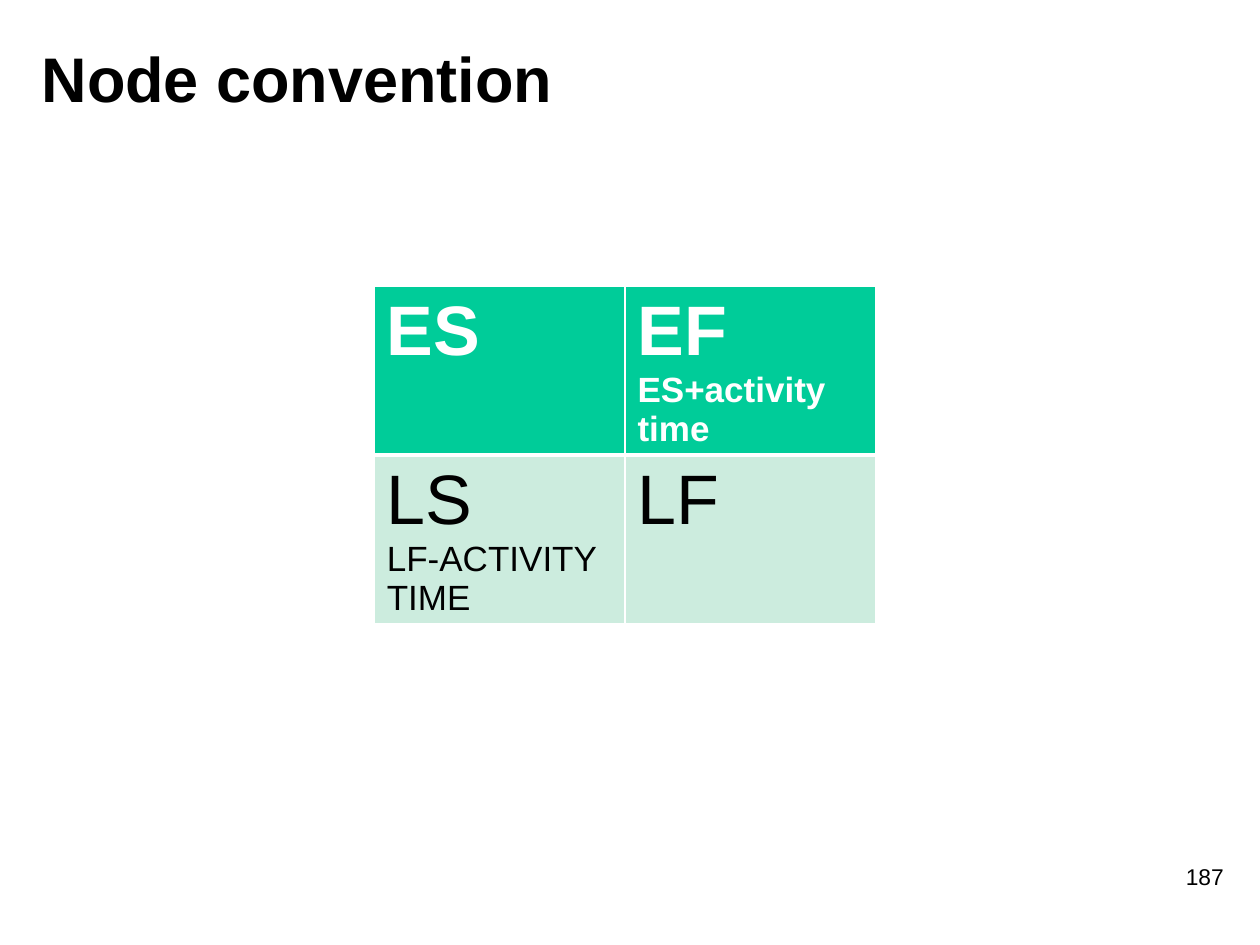
from lxml import etree
from pptx import Presentation
from pptx.dml.color import RGBColor
from pptx.enum.text import MSO_ANCHOR, PP_ALIGN
from pptx.oxml.ns import qn
from pptx.util import Inches, Pt

BLACK = RGBColor(0x00, 0x00, 0x00)
WHITE = RGBColor(0xFF, 0xFF, 0xFF)
GREEN = RGBColor(0x00, 0xCC, 0x99)
MINT = RGBColor(0xCC, 0xEC, 0xDE)

# Each cell lists its paragraphs as (text, size)
NODE_ROWS = [
    [[("ES", 40)], [("EF", 40), ("ES+activity time", 20)]],
    [[("LS", 40), ("LF-ACTIVITY TIME", 20)], [("LF", 40)]],
]
# Fill, text colour, bold and bottom border width of each row
ROW_STYLES = [(GREEN, WHITE, True, 3), (MINT, BLACK, False, 1)]


class SlideBuilder:
    font = "Arial"

    def __init__(self, prs):
        self.slide = prs.slides.add_slide(prs.slide_layouts[5])

    def add_run(self, paragraph, text, size, color=BLACK, bold=False):
        run = paragraph.add_run()
        run.text = text
        run.font.name = self.font
        run.font.size = Pt(size)
        run.font.bold = bold
        run.font.color.rgb = color

    def title(self, text, left, top, width, height):
        heading = self.slide.shapes.title
        heading.left, heading.top = Inches(left), Inches(top)
        heading.width, heading.height = Inches(width), Inches(height)
        frame = heading.text_frame
        frame.vertical_anchor = MSO_ANCHOR.MIDDLE
        frame.paragraphs[0].alignment = PP_ALIGN.LEFT
        self.add_run(frame.paragraphs[0], text, 36, bold=True)

    def label(self, text, left, top, width, height, size, align):
        box = self.slide.shapes.add_textbox(
            Inches(left), Inches(top), Inches(width), Inches(height))
        box.text_frame.word_wrap = True
        paragraph = box.text_frame.paragraphs[0]
        paragraph.alignment = align
        self.add_run(paragraph, text, size)

    def border(self, cell, side, width):
        line = etree.SubElement(cell._tc.get_or_add_tcPr(), qn(f"a:{side}"),
                                w=str(Pt(width)))
        fill = etree.SubElement(line, qn("a:solidFill"))
        etree.SubElement(fill, qn("a:srgbClr"), val=str(WHITE))

    def table(self, rows, styles, left, top, col_width, row_height):
        columns = len(rows[0])
        grid = self.slide.shapes.add_table(
            len(rows), columns, Inches(left), Inches(top),
            Inches(col_width * columns), Inches(row_height * len(rows))).table
        for column in grid.columns:
            column.width = Inches(col_width)
        for r, (row, style) in enumerate(zip(rows, styles)):
            fill, color, bold, bottom = style
            top_width = styles[r - 1][3] if r else 1
            for c, paragraphs in enumerate(row):
                cell = grid.cell(r, c)
                # Borders come before the fill in the cell properties
                for side, width in (("lnL", 1), ("lnR", 1),
                                    ("lnT", top_width), ("lnB", bottom)):
                    self.border(cell, side, width)
                cell.fill.solid()
                cell.fill.fore_color.rgb = fill
                frame = cell.text_frame
                for i, (text, size) in enumerate(paragraphs):
                    paragraph = frame.add_paragraph() if i else frame.paragraphs[0]
                    self.add_run(paragraph, text, size, color, bold)


def main():
    prs = Presentation()
    prs.slide_width, prs.slide_height = Inches(10), Inches(7.5)
    node = SlideBuilder(prs)

    # Title
    node.title("Node convention", 0.23, 0.15, 8.03, 0.93)

    # Node: early times above, late times below
    node.table(NODE_ROWS, ROW_STYLES, 2.97, 2.27, 1.99, 1.28)

    # Page number
    node.label("187", 7.73, 6.8, 2.08, 0.5, 13, PP_ALIGN.RIGHT)

    prs.save("out.pptx")


if __name__ == "__main__":
    main()
